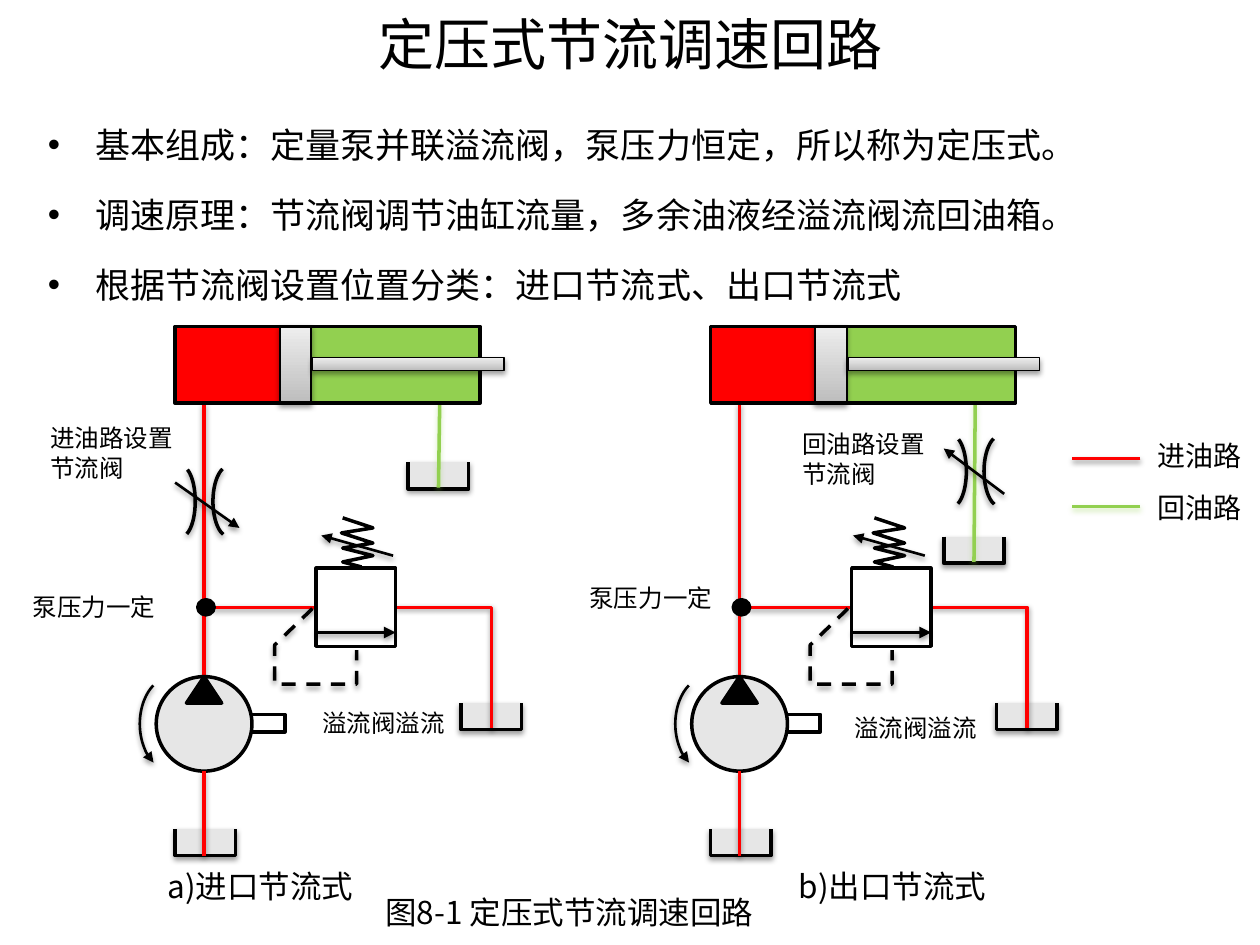
from lxml.etree import SubElement
from pptx import Presentation
from pptx.dml.color import RGBColor
from pptx.enum.dml import MSO_LINE
from pptx.enum.shapes import MSO_CONNECTOR, MSO_SHAPE
from pptx.oxml.ns import qn
from pptx.util import Inches, Pt

FONT = "Noto Sans CJK SC"
BLACK = RGBColor(0, 0, 0)
WHITE = RGBColor(0xFF, 0xFF, 0xFF)
RED = RGBColor(0xFF, 0, 0)
GREEN = RGBColor(0x92, 0xD0, 0x50)
PALE_GRAY = RGBColor(0xE6, 0xE6, 0xE6)
STEEL = (RGBColor(0xBD, 0xBD, 0xBD), RGBColor(0xEE, 0xEE, 0xEE))

TITLE = "定压式节流调速回路"
BULLETS = [
    "基本组成：定量泵并联溢流阀，泵压力恒定，所以称为定压式。",
    "调速原理：节流阀调节油缸流量，多余油液经溢流阀流回油箱。",
    "根据节流阀设置位置分类：进口节流式、出口节流式",
]
LEGEND = [("进油路", RED), ("回油路", GREEN)]
# text, box, size
LABELS = [
    ("a)进口节流式", (1.23, 6.83, 2.11, 0.47), 18),
    ("b)出口节流式", (6.24, 6.83, 2.11, 0.47), 18),
    ("图8-1 定压式节流调速回路", (2.96, 7.04, 3.76, 0.47), 18),
    ("溢流阀溢流", (2.46, 5.57, 1.37, 0.33), 14),
    ("溢流阀溢流", (6.68, 5.61, 1.19, 0.33), 14),
    ("泵压力一定", (0.16, 4.65, 1.31, 0.33), 14),
    ("泵压力一定", (4.58, 4.58, 1.34, 0.33), 14),
    ("进油路设置节流阀", (0.3, 3.31, 1.34, 0.56), 14),
    ("回油路设置节流阀", (6.27, 3.36, 1.34, 0.56), 14),
]
# Positions are relative to the left end of each circuit.
CIRCUITS = [
    dict(left=0, return_tank=(3.24, 3.67), return_top=3.49, throttle=(1.33, 3.7),
         throttle_arrow=((1.39, 3.83), (1.9, 4.19)), spring_shift=0),
    dict(left=4.25, return_tank=(3.24, 4.26), return_top=3.49, throttle=(3.2, 3.46),
         throttle_arrow=((3.72, 3.92), (3.24, 3.56)), spring_shift=-0.03),
]
SPRING = [(2.87, 4.5), (2.72, 4.46), (2.96, 4.41), (2.72, 4.35),
          (2.96, 4.31), (2.71, 4.23), (2.96, 4.19), (2.72, 4.11)]
PILOT_LINE = [(2.48, 4.83), (2.18, 5.12), (2.18, 5.43), (2.83, 5.43), (2.83, 5.16)]
RELIEF_RETURN = [(3.14, 4.82), (3.9, 4.82), (3.9, 5.78)]

deck = Presentation()
deck.slide_width, deck.slide_height = Inches(10), Inches(7.5)
page = deck.slides.add_slide(deck.slide_layouts[1])


def format_text(para, size):
    para.font.size = Pt(size)
    for span in para.runs:
        for name, value in dict(size=Pt(size), name=FONT).items():
            setattr(span.font, name, value)
        span.font.color.rgb = BLACK
        SubElement(span.font._element, qn("a:ea"), typeface=FONT)


def place(shape, box):
    for name, value in zip(("left", "top", "width", "height"), box):
        setattr(shape, name, Inches(value))


def add_label(text, box, size):
    label = page.shapes.add_textbox(*map(Inches, box))
    label.text_frame.word_wrap = True
    label.text_frame.text = text
    format_text(label.text_frame.paragraphs[0], size)


def add_shadow(shape, color=BLACK):
    properties = shape._element.spPr
    effects = properties.find(qn("a:effectLst"))
    if effects is None:
        effects = SubElement(properties, qn("a:effectLst"))
    shadow = SubElement(effects, qn("a:outerShdw"), blurRad=str(Pt(3.1)),
                        dist=str(Pt(1.6)), dir="5400000", rotWithShape="0")
    tint = SubElement(shadow, qn("a:srgbClr"), val=str(color))
    SubElement(tint, qn("a:alpha"), val="38000")


def add_arrowhead(shape, end):
    SubElement(shape.line._get_or_add_ln(), qn(f"a:{end}"), type="triangle")


def style(shape, fill=None, line=BLACK, weight=2, shadow=False):
    shape.shadow.inherit = False
    if fill is None:
        shape.fill.background()
    elif fill is STEEL:
        shape.fill.gradient()
        shape.fill.gradient_angle = 90
        for stop, color in zip(shape.fill.gradient_stops, STEEL):
            stop.color.rgb = color
    else:
        shape.fill.solid()
        shape.fill.fore_color.rgb = fill
    if line is None:
        shape.line.fill.background()
    else:
        shape.line.color.rgb = line
        shape.line.width = Pt(weight)
    if shadow:
        add_shadow(shape)
    return shape


def add_line(start, end, color=BLACK, weight=2, arrow=False, left=0):
    line = page.shapes.add_connector(
        MSO_CONNECTOR.STRAIGHT, Inches(start[0] + left), Inches(start[1]),
        Inches(end[0] + left), Inches(end[1]))
    line.line.color.rgb = color
    line.line.width = Pt(weight)
    if arrow:
        add_arrowhead(line, "tailEnd")
    add_shadow(line, GREEN if color == GREEN else BLACK)


def add_outline(points, left, **formats):
    first, *others = [(Inches(x + left), Inches(y)) for x, y in points]
    builder = page.shapes.build_freeform(*first)
    builder.add_line_segments(others, close=False)
    return style(builder.convert_to_shape(), **formats)


def draw_circuit(left, return_tank, return_top, throttle, throttle_arrow, spring_shift):
    def part(kind, x, y, width, height, **formats):
        shape = page.shapes.add_shape(kind, *map(Inches, (x + left, y, width, height)))
        return style(shape, **formats)

    def arc(x, y, width, height, angles, **formats):
        shape = part(MSO_SHAPE.ARC, x, y, width, height, shadow=True, **formats)
        for index, angle in enumerate(angles):
            shape.adjustments[index] = angle
        return shape

    def tank(x, y):
        corners = [(x, y), (x, y + 0.21), (x + 0.48, y + 0.21), (x + 0.48, y)]
        add_outline(corners, left, fill=PALE_GRAY, shadow=True)

    def pipe(start, end, color=RED):
        add_line(start, end, color, left=left)

    rectangle, ellipse = MSO_SHAPE.RECTANGLE, MSO_SHAPE.OVAL

    # Cylinder chambers, tanks and pipes
    part(rectangle, 2.47, 2.6, 1.34, 0.59, fill=GREEN, line=None)
    part(rectangle, 1.4, 2.6, 0.84, 0.59, fill=RED, line=None)
    tank(3.66, 5.58)
    add_outline(RELIEF_RETURN, left, line=RED, shadow=True)
    pipe((1.62, 5.37), (1.62, 3.2))
    pipe((2.51, 4.82), (1.69, 4.82))
    tank(*return_tank)
    pipe((return_tank[0] + 0.24, return_tank[1] + 0.2), (return_top, 3.2), GREEN)

    # Pump
    part(rectangle, 1.94, 5.67, 0.32, 0.14, fill=WHITE)
    part(ellipse, 1.24, 5.37, 0.76, 0.75, fill=PALE_GRAY)
    part(MSO_SHAPE.ISOSCELES_TRIANGLE, 1.48, 5.37, 0.28, 0.21, fill=BLACK)
    add_arrowhead(arc(1.11, 5.37, 0.51, 0.75, (69.24, 146.48), weight=1.5), "headEnd")
    tank(1.39, 6.58)
    pipe((1.62, 6.79), (1.62, 6.12))
    part(ellipse, 1.57, 4.76, 0.13, 0.12, fill=BLACK)

    # Relief valve
    part(rectangle, 2.51, 4.51, 0.63, 0.62, fill=WHITE)
    add_line((2.51, 5.02), (3.14, 5.02), weight=2.25, arrow=True, left=left)
    pilot = add_outline(PILOT_LINE, left, shadow=True)
    pilot.line.dash_style = MSO_LINE.DASH
    add_line((3.12, 4.41), (2.55, 4.25), weight=1.5, arrow=True, left=left + spring_shift)
    add_outline(SPRING, left + spring_shift)

    # Throttle valve
    x, y = throttle
    arc(x, y, 0.22, 0.56, (168.43, 48.37))
    mirrored = arc(x + 0.36, y, 0.25, 0.56, (168.43, 48.37))
    mirrored._element.spPr.xfrm.set("flipH", "1")
    add_line(*throttle_arrow, weight=1.5, arrow=True, left=left)

    # Piston, cylinder wall and rod
    part(rectangle, 2.22, 2.59, 0.25, 0.61, fill=STEEL, weight=1, shadow=True)
    part(rectangle, 1.39, 2.59, 2.42, 0.61)
    part(rectangle, 2.48, 2.84, 1.52, 0.1, fill=STEEL, weight=0.75, shadow=True)


title, body = page.shapes.title, page.placeholders[1]
place(title, (1.46, 0, 7.09, 0.68))
title.text_frame.text = TITLE
format_text(title.text_frame.paragraphs[0], 32)
place(body, (0.28, 0.76, 9.45, 1.75))
body.text_frame.text = "\n".join(BULLETS)
for para in body.text_frame.paragraphs:
    para.line_spacing = 1.5
    format_text(para, 20)

for circuit in CIRCUITS:
    draw_circuit(**circuit)
for row, (text, color) in enumerate(LEGEND):
    y = 3.64 + row * 0.38
    add_line((9.05, y), (8.51, y), color)
    add_label(text, (9.09, 3.43 + row * 0.41, 1.03, 0.41), 16)
for label in LABELS:
    add_label(*label)

deck.save("out.pptx")
